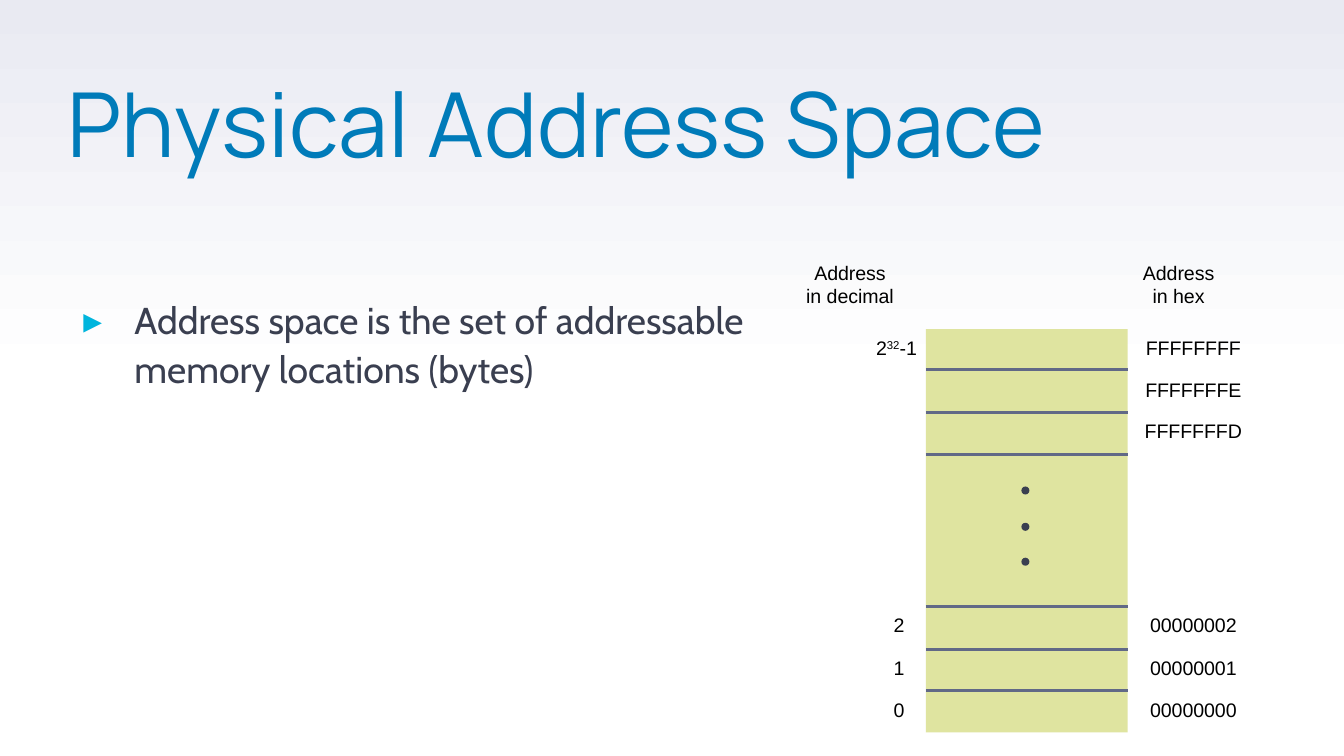
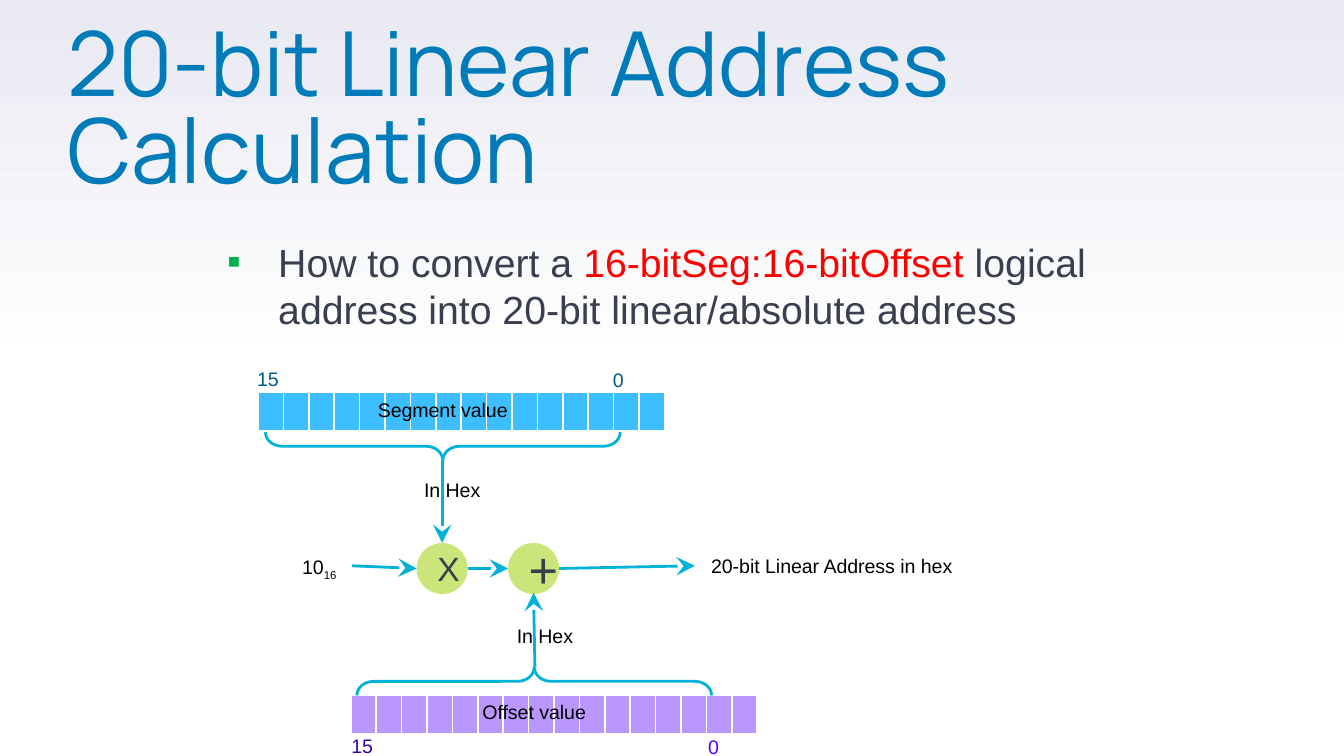
"""Build two slides on physical address space and linear address calculation."""
import copy

import pptx
import pptx.util
from lxml import etree
from pptx.dml.color import RGBColor
from pptx.enum.shapes import MSO_CONNECTOR, MSO_SHAPE
from pptx.enum.text import MSO_ANCHOR, MSO_AUTO_SIZE, PP_ALIGN
from pptx.oxml.ns import qn
from pptx.util import Inches

WHITE = RGBColor(0xFF, 0xFF, 0xFF)
LAVENDER = RGBColor(0xE9, 0xEA, 0xF2)
BLACK = RGBColor(0x00, 0x00, 0x00)
INK = RGBColor(0x3A, 0x3F, 0x50)
TITLE_BLUE = RGBColor(0x00, 0x7B, 0xB9)
BULLET_CYAN = RGBColor(0x00, 0xB5, 0xDD)
BULLET_GREEN = RGBColor(0x00, 0xB0, 0x50)
RED = RGBColor(0xFF, 0x00, 0x00)
MEMORY_GREEN = RGBColor(0xDF, 0xE4, 0xA0)
DIVIDER = RGBColor(0x61, 0x69, 0x86)
FLOW_CYAN = RGBColor(0x00, 0xB1, 0xD8)
OPERATOR_GREEN = RGBColor(0xCB, 0xE5, 0x7A)
SEGMENT_BLUE = RGBColor(0x3C, 0xBE, 0xFF)
SEGMENT_TEXT = RGBColor(0x00, 0x5C, 0x8B)
OFFSET_PURPLE = RGBColor(0xBA, 0x96, 0xFF)
OFFSET_HIGH = RGBColor(0x39, 0x00, 0xA8)
OFFSET_LOW = RGBColor(0x56, 0x00, 0xFB)


def add_solid(parent, tag, color):
    holder = etree.SubElement(parent, qn(tag))
    etree.SubElement(holder, qn("a:srgbClr"), val=str(color))


def write(frame, text, size=10.5, font="Arial", color=BLACK, align=PP_ALIGN.CENTER,
          spacing=None, before=None, bullet=None):
    """Fill a frame; text is a string or a list of (words, color, baseline) spans."""
    lines = [[(line, color, 0)] for line in text.split("\n")] if isinstance(text, str) else [text]
    for index, spans in enumerate(lines):
        para = frame.add_paragraph() if index else frame.paragraphs[0]
        para.alignment = align
        if spacing:
            para.line_spacing = spacing
        if before is not None:
            para.space_before = pptx.util.Pt(before)
        if bullet:
            symbol, symbol_color, margin = bullet
            properties = para._p.get_or_add_pPr()
            properties.set("marL", str(Inches(margin)))
            properties.set("indent", str(Inches(-0.38)))
            add_solid(properties, "a:buClr", symbol_color)
            etree.SubElement(properties, qn("a:buFont"), typeface=font)
            etree.SubElement(properties, qn("a:buChar"), char=symbol)
        for words, span_color, baseline in spans:
            span = para.add_run()
            span.text = words
            span.font.size = pptx.util.Pt(size)
            span.font.name = font
            span.font.color.rgb = span_color
            if baseline:
                span._r.get_or_add_rPr().set("baseline", str(baseline * 1000))


class SlideBuilder:
    """Holds the deck style and draws on the current slide."""

    def __init__(self):
        self.deck = pptx.Presentation()
        self.deck.slide_width = Inches(10)
        self.deck.slide_height = Inches(10) * 9 // 16
        self.slide = None
        self.set_background()

    def set_background(self):
        master = self.deck.slide_master
        fill = master.background.fill
        fill.gradient()
        fill.gradient_angle = 90
        stops = next(master.element.iter(qn("a:gsLst")))
        stops.insert(1, copy.deepcopy(stops[0]))
        for stop, position, color in zip(fill.gradient_stops, (0, 0.5, 1), (WHITE, WHITE, LAVENDER)):
            stop.position = position
            stop.color.rgb = color

    def start(self, title, top, width):
        self.slide = self.deck.slides.add_slide(self.deck.slide_layouts[5])
        box = self.slide.shapes.title
        box.left, box.top, box.width, box.height = map(Inches, (0.5, top, width, 1.18))
        self.set_frame(box.text_frame, (0, 0))
        write(box.text_frame, title, 48, "Manrope", TITLE_BLUE, PP_ALIGN.LEFT, spacing=0.8)

    def set_frame(self, frame, insets):
        frame.margin_left = frame.margin_right = Inches(insets[0])
        frame.margin_top = frame.margin_bottom = Inches(insets[1])
        frame.word_wrap = True
        frame.auto_size = MSO_AUTO_SIZE.NONE
        frame.vertical_anchor = MSO_ANCHOR.TOP

    def body(self, text, area, insets, **style):
        frame = self.slide.shapes.add_textbox(*map(Inches, area)).text_frame
        self.set_frame(frame, insets)
        write(frame, text, align=PP_ALIGN.LEFT, **style)

    def label(self, text, left, top, width, height=0.28, **style):
        box = self.slide.shapes.add_textbox(*map(Inches, (left, top, width, height)))
        box.text_frame.word_wrap = False
        box.text_frame.auto_size = MSO_AUTO_SIZE.SHAPE_TO_FIT_TEXT
        write(box.text_frame, text, **style)

    def shape(self, kind, area, fill):
        shape = self.slide.shapes.add_shape(kind, *map(Inches, area))
        shape.shadow.inherit = False
        shape.fill.solid()
        shape.fill.fore_color.rgb = fill
        shape.line.fill.background()
        return shape

    def operator(self, symbol, left, size):
        circle = self.shape(MSO_SHAPE.OVAL, (left, 4.04, 0.38, 0.38), OPERATOR_GREEN)
        circle.text_frame.vertical_anchor = MSO_ANCHOR.MIDDLE
        write(circle.text_frame, symbol, size, color=INK)

    def brace(self, left, top, rotation):
        brace = self.shape(MSO_SHAPE.LEFT_BRACE, (left, top, 0.21, 2.64), WHITE)
        brace.fill.background()
        brace.line.color.rgb = FLOW_CYAN
        brace.line.width = pptx.util.Pt(1.5)
        brace.adjustments[0] = 0.59
        brace.rotation = rotation

    def line(self, start, end, color, arrow=False):
        line = self.slide.shapes.add_connector(MSO_CONNECTOR.STRAIGHT, *map(Inches, start + end))
        line.line.color.rgb = color
        line.line.width = pptx.util.Pt(1.5)
        properties = line._element.spPr
        if arrow:
            etree.SubElement(properties.find(qn("a:ln")), qn("a:tailEnd"),
                             type="stealth", w="lg", len="lg")
        etree.SubElement(properties, qn("a:effectLst"))

    def register(self, left, top, color, bits=16):
        table = self.slide.shapes.add_table(
            1, bits, *map(Inches, (left, top, 2.84, 0.3))).table
        table.first_row = table.horz_banding = False
        for column in table.columns:
            column.width = Inches(2.84 / bits)
        for cell in table.iter_cells():
            cell.margin_left = cell.margin_right = Inches(0.075)
            cell.margin_top = cell.margin_bottom = Inches(0.04)
            properties = cell._tc.get_or_add_tcPr()
            for side, width in (("L", 1), ("R", 1), ("T", 1), ("B", 3)):
                border = etree.SubElement(properties, qn("a:ln" + side), w=str(pptx.util.Pt(width)))
                add_solid(border, "a:solidFill", WHITE)
            cell.fill.solid()
            cell.fill.fore_color.rgb = color
            etree.SubElement(cell.text_frame.paragraphs[0]._p, qn("a:endParaRPr"), sz="1000")


def build_address_space(page):
    page.start("Physical Address Space", 0.66, 8.96)
    page.body("Address space is the set of addressable memory locations (bytes)",
              (0.5, 2.18, 5.92, 2.93), (0, 0), size=20, font="Cabin", color=INK,
              spacing=1.1, before=6, bullet=("▸", BULLET_CYAN, 0.5))
    page.shape(MSO_SHAPE.RECTANGLE, (6.89, 2.45, 1.5, 3), MEMORY_GREEN)
    for divider in (2.75, 3.07, 3.38, 4.51, 4.83, 5.14):
        page.line((6.89, divider), (8.39, divider), DIVIDER)
    for dot in (3.62, 3.89, 4.15):
        page.shape(MSO_SHAPE.OVAL, (7.6, dot, 0.06, 0.06), INK)
    page.label("Address\nin decimal", 5.89, 1.89, 0.87, 0.45)
    page.label("Address\nin hex", 8.4, 1.89, 0.74, 0.45)
    page.label([("2", BLACK, 0), ("32", BLACK, 30), ("-1", BLACK, 0)], 6.41, 2.45, 0.52)
    for top, digits in ((2.45, "FFFFFFFF"), (2.76, "FFFFFFFE"), (3.07, "FFFFFFFD")):
        page.label(digits, 8.41, top, 0.94)
    for top, digit in ((4.51, "2"), (4.83, "1"), (5.14, "0")):
        page.label(digit, 6.55, top, 0.28)
        page.label(digit.zfill(8), 8.45, top, 0.86)


def build_linear_address(page):
    page.start("20-bit Linear Address Calculation", 0.21, 9.34)
    page.register(1.92, 2.92, SEGMENT_BLUE)
    page.register(2.61, 5.17, OFFSET_PURPLE)
    page.brace(3.19, 2, 270)
    page.brace(3.87, 3.75, 90)
    page.operator("X", 3.1, 18)
    page.operator("+", 3.78, 27)
    arrows = (((3.29, 3.43), (3.29, 4.04)), ((2.62, 4.21), (3.1, 4.23)),
              ((3.98, 4.96), (3.97, 4.41)), ((3.48, 4.23), (3.78, 4.23)),
              ((4.16, 4.23), (5.17, 4.21)))
    for start, end in arrows:
        page.line(start, end, FLOW_CYAN, arrow=True)
    labels = (("Segment value", 2.7, 2.91, 1.19, BLACK), ("Offset value", 3.48, 5.16, 0.99, BLACK),
              ("In Hex", 3.05, 3.51, 0.63, BLACK), ("In Hex", 3.74, 4.59, 0.63, BLACK),
              ("20-bit Linear Address in hex", 5.17, 4.07, 2.04, BLACK),
              ("15", 1.81, 2.68, 0.37, SEGMENT_TEXT), ("0", 4.46, 2.69, 0.28, SEGMENT_TEXT),
              ("15", 2.51, 5.41, 0.37, OFFSET_HIGH), ("0", 5.17, 5.42, 0.28, OFFSET_LOW))
    for text, left, top, width, color in labels:
        page.label(text, left, top, width, color=color)
    page.label([("10", BLACK, 0), ("16", BLACK, -25)], 2.15, 4.08, 0.48, align=PP_ALIGN.LEFT)
    page.body([("How to convert a ", INK, 0), ("16-bitSeg:16-bitOffset", RED, 0),
               (" logical address into 20-bit linear/absolute address", INK, 0)],
              (1.62, 1.73, 6.75, 0.81), (0.07, 0.04), size=21, before=4,
              bullet=("▪", BULLET_GREEN, 0.38))


def main():
    page = SlideBuilder()
    build_address_space(page)
    build_linear_address(page)
    page.deck.save("out.pptx")


if __name__ == "__main__":
    main()
